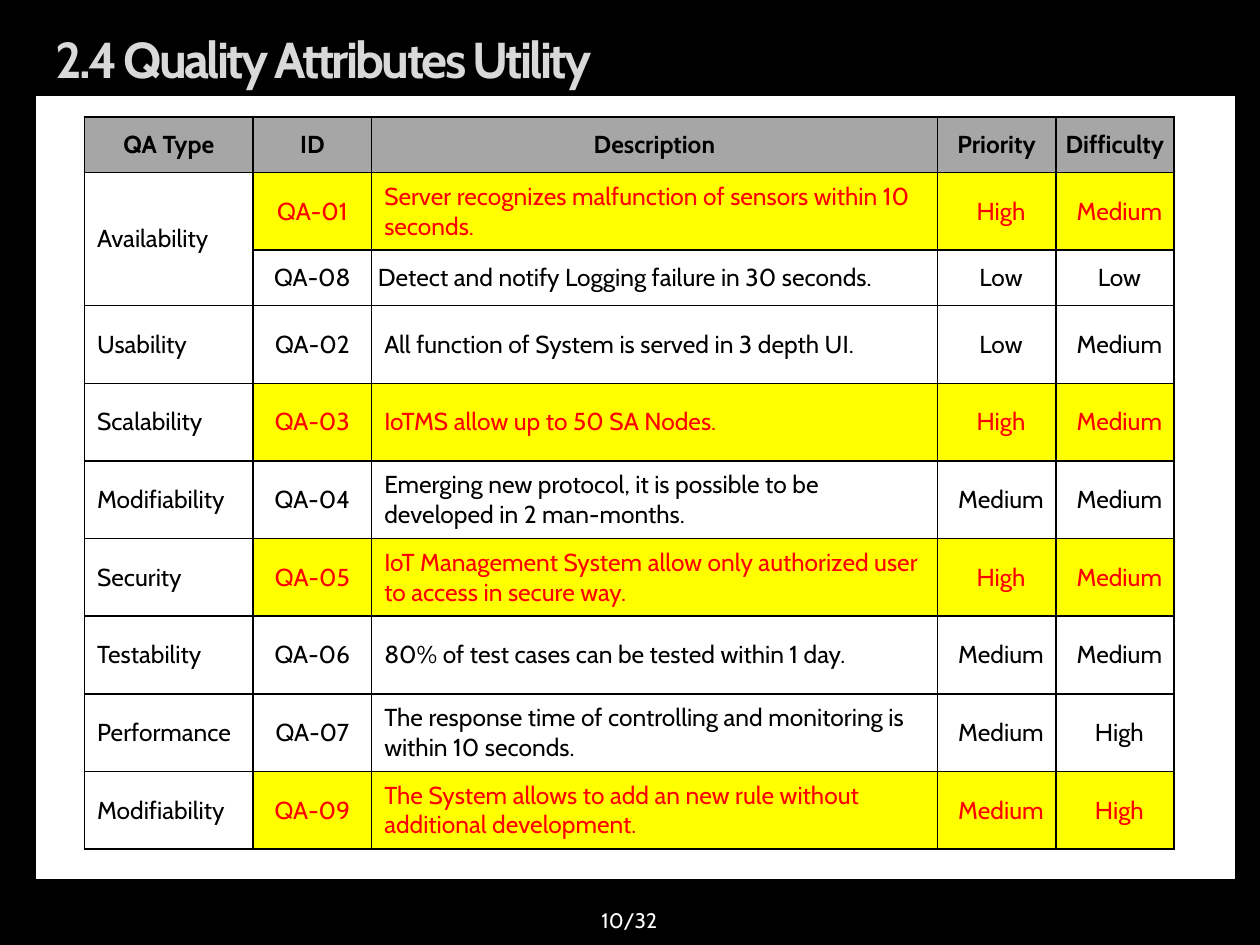
from lxml.etree import SubElement as Sub
from pptx import Presentation
from pptx.dml.color import RGBColor
from pptx.enum.shapes import MSO_SHAPE as Shape
from pptx.enum.text import MSO_ANCHOR as Anchor, PP_ALIGN as Align
from pptx.oxml.ns import qn
from pptx.util import Inches, Pt

TITLE = "2.4 Quality Attributes Utility"
PAGE = "10/32"
HEAD = ["QA Type", "ID", "Description", "Priority", "Difficulty"]
ROWS = [
    ("Availability", "QA-01", "Server recognizes malfunction of sensors within 10 seconds.", "High", "Medium"),
    ("", "QA-08", "Detect and notify Logging failure in 30 seconds.", "Low", "Low"),
    ("Usability", "QA-02", "All function of System is served in 3 depth UI.", "Low", "Medium"),
    ("Scalability", "QA-03", "IoTMS allow up to 50 SA Nodes.", "High", "Medium"),
    ("Modifiability", "QA-04", "Emerging new protocol, it is possible to be developed in 2 man-months.",
     "Medium", "Medium"),
    ("Security", "QA-05", "IoT Management System allow only authorized user to access in secure way.",
     "High", "Medium"),
    ("Testability", "QA-06", "80% of test cases can be tested within 1 day.", "Medium", "Medium"),
    ("Performance", "QA-07", "The response time of controlling and monitoring is within 10 seconds.",
     "Medium", "High"),
    ("Modifiability", "QA-09", "The System allows to add an new rule without additional development.",
     "Medium", "High"),
]
KEY = {"QA-01", "QA-03", "QA-05", "QA-09"}
TIGHT = "QA-08"
COLS = [1.34, 0.94, 4.49, 0.94, 0.94]
LOW, FULL = 0.44, 5.81
TALL = (FULL - 2 * LOW) / (len(ROWS) - 1)


def hue(code):
    return RGBColor.from_string(code)


def style(obj, form):
    for name, value in form.items():
        setattr(obj, name, value)


def paint(part, code):
    part.fill.solid()
    part.fill.fore_color.rgb = hue(code)


def write(frame, text, color, size, bold=False, align=Align.LEFT):
    para = frame.paragraphs[0]
    para.alignment = align
    run = para.add_run()
    run.text = text
    style(run.font, {"name": "Cabin", "size": Pt(size), "bold": bold})
    run.font.color.rgb = hue(color)
    return para, run


def label(box, *args, **form):
    frame = slide.shapes.add_textbox(*map(Inches, box)).text_frame
    style(frame, {"word_wrap": True, "vertical_anchor": Anchor.MIDDLE})
    return write(frame, *args, **form)


def border(cell):
    props = cell._tc.get_or_add_tcPr()
    for i, side in enumerate(("lnL", "lnR", "lnT", "lnB")):
        line = props.makeelement(qn("a:" + side), {"w": str(Pt(1))})
        fill = Sub(line, qn("a:solidFill"))
        Sub(fill, qn("a:srgbClr"), val="000000")
        props.insert(i, line)


def pad(cell, side, top):
    style(cell, {"margin_left": Inches(side), "margin_right": Inches(side),
                 "margin_top": Inches(top), "margin_bottom": Inches(top)})


def put(cell, text, row, col, code):
    top, key = row == 0, code in KEY and col > 0
    paint(cell, "A6A6A6" if top else "FFFF00" if key else "FFFFFF")
    border(cell)
    cell.vertical_anchor = Anchor.MIDDLE
    if col > 2:
        pad(cell, 0, 0)
    elif code == TIGHT and col:
        pad(cell, 0.05, 0.01)
    if not text:
        return
    align = Align.LEFT if not top and col in (0, 2) else Align.CENTER
    para, _ = write(cell.text_frame, text, "FF0000" if key else "000000", 14, top, align)
    if not top and col > 2:
        para.space_after = Pt(2)
        para._p.get_or_add_pPr().set("indent", str(Inches(0.07)))


deck = Presentation()
style(deck, {"slide_width": Inches(10), "slide_height": Inches(7.5)})
slide = deck.slides.add_slide(deck.slide_layouts[6])
paint(slide.background, "000000")

panel = slide.shapes.add_shape(Shape.RECTANGLE, *map(Inches, (0.28, 0.76, 9.53, 6.22)))
panel.shadow.inherit = False
paint(panel, "FFFFFF")
panel.line.color.rgb = hue("000000")
panel.line.width = Pt(0.75)

_, run = label((0.34, 0.21, 9.14, 0.51), TITLE, "D9D9D9", 28.8, bold=True)
run.font._element.set("spc", "-150")
label((3.83, 7.1, 2.33, 0.4), PAGE, "FFFFFF", 12, align=Align.CENTER)

grid = [HEAD, *ROWS]
table = slide.shapes.add_table(len(grid), len(COLS), *map(Inches, (0.67, 0.93, sum(COLS), FULL))).table
style(table, {"first_row": False, "horz_banding": False})
for col, wide in zip(table.columns, COLS):
    col.width = Inches(wide)
for r, row in enumerate(grid):
    table.rows[r].height = Inches(LOW if r == 0 or row[1] == TIGHT else TALL)
    for c, text in enumerate(row):
        put(table.cell(r, c), text, r, c, row[1])
table.cell(1, 0).merge(table.cell(2, 0))

deck.save("out.pptx")
